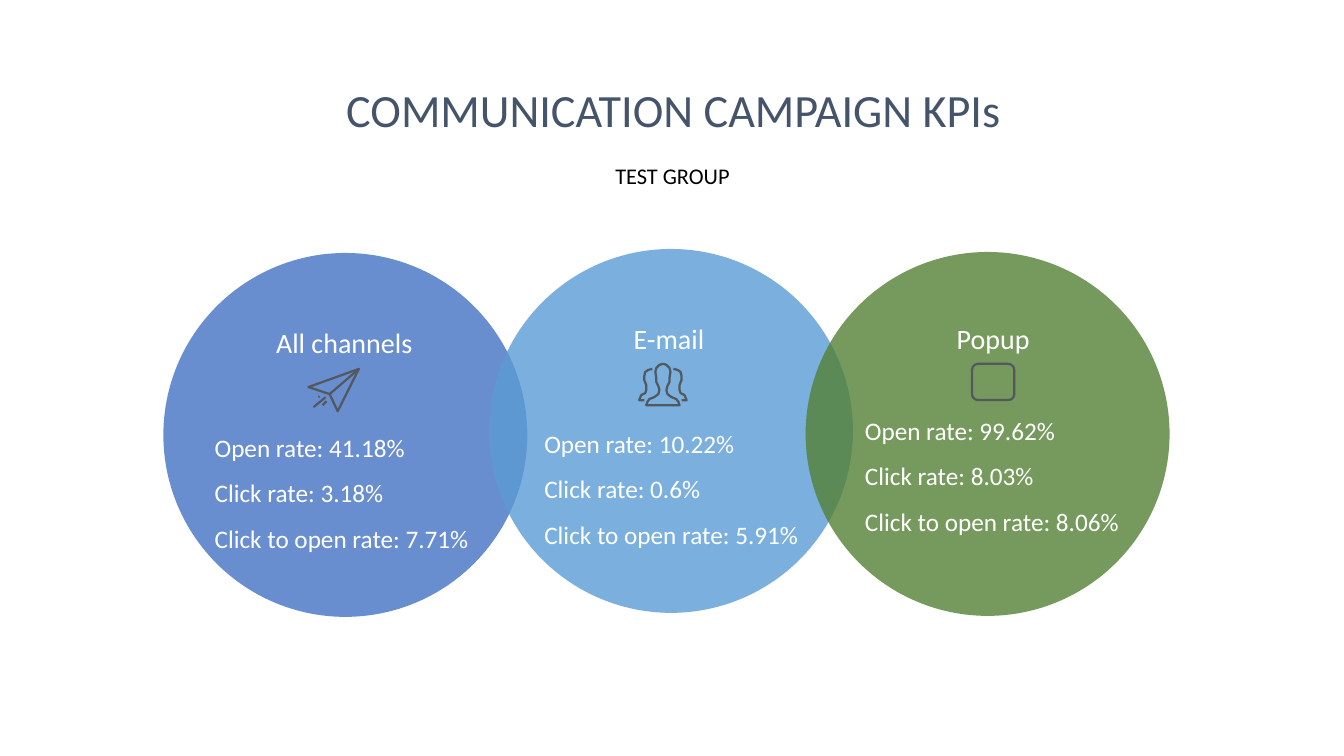
from lxml import etree
from pptx import Presentation
from pptx import util as u
from pptx.dml.color import RGBColor
from pptx.enum import shapes, text
from pptx.oxml.ns import qn

COLORS = {"all": "4472C4", "email": "5B9BD5", "popup": "548135", "heading": "44546A",
          "subtitle": "000000", "on_circle": "FFFFFF", "icon": "53585F"}
DIAMETER = 3.61

# Circle position, label box (left, top, width), rates position, and rates
CHANNELS = [
    ("all", "All channels", (1.62, 2.51), (2.38, 3.18, 2.07), (2.03, 4.09),
     ("41.18%", "3.18%", "7.71%")),
    ("email", "E-mail", (4.85, 2.47), (6.05, 3.14, 1.17), (5.3, 4.05),
     ("10.22%", "0.6%", "5.91%")),
    ("popup", "Popup", (7.99, 2.5), (9.28, 3.14, 1.14), (8.48, 3.92),
     ("99.62%", "8.03%", "8.06%")),
]
RATE_NAMES = ("Open rate", "Click rate", "Click to open rate")

# Icon strokes in hundredths of an inch
PAPER_PLANE = [
    [(306, 384), (356, 366), (335, 408), (327, 391), (306, 384)],
    [(327, 391), (356, 366)],
    [(324, 398), (320, 402)],
    [(323, 394), (311, 404)],
    [(317, 393), (316, 394)],
]
PERSON_LEFT_HALF = [(657, 361), (654, 362), (651, 365), (650, 369), (651, 375), (651, 379),
                    (653, 383), (654, 387), (653, 391), (649, 394), (644, 396), (642, 399),
                    (641, 402)]
LEFT_NEIGHBOUR = [(647, 366), (643, 367), (640, 369), (639, 373), (639, 377), (641, 382),
                  (641, 387), (640, 390), (636, 392), (634, 397), (639, 397)]


def mirror(stroke):
    """Reflect a stroke across the vertical axis of the people icon."""
    return [(1315 - x, y) for x, y in stroke]


PEOPLE = [
    PERSON_LEFT_HALF + mirror(PERSON_LEFT_HALF)[::-1] + PERSON_LEFT_HALF[:1],
    LEFT_NEIGHBOUR,
    mirror(LEFT_NEIGHBOUR),
]


class KpiSlide:
    font_name = "Calibri"
    icon_width = u.Pt(1.6)

    def __init__(self, slide):
        self.slide = slide

    def color(self, key):
        return RGBColor.from_string(COLORS[key])

    def set_lines(self, holder, lines, size, color, align=text.PP_ALIGN.CENTER, spacing=1.0):
        frame = holder.text_frame
        frame.text = "\n".join(lines)
        frame_format = {
            "word_wrap": True, "auto_size": text.MSO_AUTO_SIZE.SHAPE_TO_FIT_TEXT,
            "vertical_anchor": text.MSO_ANCHOR.TOP,
            "margin_left": u.Inches(0.1), "margin_right": u.Inches(0.1),
            "margin_top": u.Inches(0.05), "margin_bottom": u.Inches(0.05),
        }
        for name, value in frame_format.items():
            setattr(frame, name, value)
        for paragraph in frame.paragraphs:
            paragraph.alignment = align
            paragraph.line_spacing = spacing
            for name, value in {"name": self.font_name, "size": u.Pt(size)}.items():
                setattr(paragraph.font, name, value)
            paragraph.font.color.rgb = self.color(color)

    def title(self, wording, left, top, width, height):
        heading = self.slide.shapes.title
        place = {"left": left, "top": top, "width": width, "height": height}
        for name, value in place.items():
            setattr(heading, name, u.Inches(value))
        self.set_lines(heading, [wording], 33, "heading")

    def text_box(self, lines, left, top, width, height, size, color, **layout):
        box = self.slide.shapes.add_textbox(*map(u.Inches, (left, top, width, height)))
        self.set_lines(box, lines, size, color, **layout)

    def circle(self, left, top, color, opacity=80):
        disc = self.slide.shapes.add_shape(
            shapes.MSO_SHAPE.OVAL, *map(u.Inches, (left, top, DIAMETER, DIAMETER)))
        disc.shadow.inherit = False
        disc.line.fill.background()
        disc.fill.solid()
        disc.fill.fore_color.rgb = self.color(color)
        fill_color = disc.element.spPr.find(qn("a:solidFill"))[0]
        etree.SubElement(fill_color, qn("a:alpha")).set("val", str(opacity * 1000))

    def outline(self, icon):
        icon.shadow.inherit = False
        icon.fill.background()
        icon.line.color.rgb = self.color("icon")
        icon.line.width = self.icon_width

    def stroke_icon(self, strokes):
        builder = self.slide.shapes.build_freeform(*strokes[0][0], scale=u.Inches(0.01))
        for number, stroke in enumerate(strokes):
            if number:
                builder.move_to(*stroke[0])
            builder.add_line_segments(stroke[1:], close=False)
        self.outline(builder.convert_to_shape())

    def window_icon(self, left, top, width, height):
        self.outline(self.slide.shapes.add_shape(
            shapes.MSO_SHAPE.ROUNDED_RECTANGLE, *map(u.Inches, (left, top, width, height))))


def main():
    deck = Presentation()
    deck.slide_width, deck.slide_height = u.Inches(13.33), u.Inches(7.5)
    kpis = KpiSlide(deck.slides.add_slide(deck.slide_layouts[5]))

    for key, _, circle_at, *_ in CHANNELS:
        kpis.circle(*circle_at, key)
    kpis.title("COMMUNICATION CAMPAIGN KPIs", 2.73, 0.76, 7.9, 0.66)
    kpis.text_box(["TEST GROUP"], 2.66, 1.43, 8.02, 0.46, 16, "subtitle", spacing=1.5)

    for _, channel, _, label_at, rates_at, rates in CHANNELS:
        kpis.text_box([channel], *label_at, 0.44, 20, "on_circle")
        rate_lines = [f"{name}: {rate}" for name, rate in zip(RATE_NAMES, rates)]
        kpis.text_box(rate_lines, *rates_at, 2.99, 1.42, 18, "on_circle",
                      align=text.PP_ALIGN.LEFT, spacing=1.5)

    kpis.stroke_icon(PAPER_PLANE)
    kpis.stroke_icon(PEOPLE)
    kpis.window_icon(9.64, 3.61, 0.42, 0.36)
    deck.save("out.pptx")


if __name__ == "__main__":
    main()
